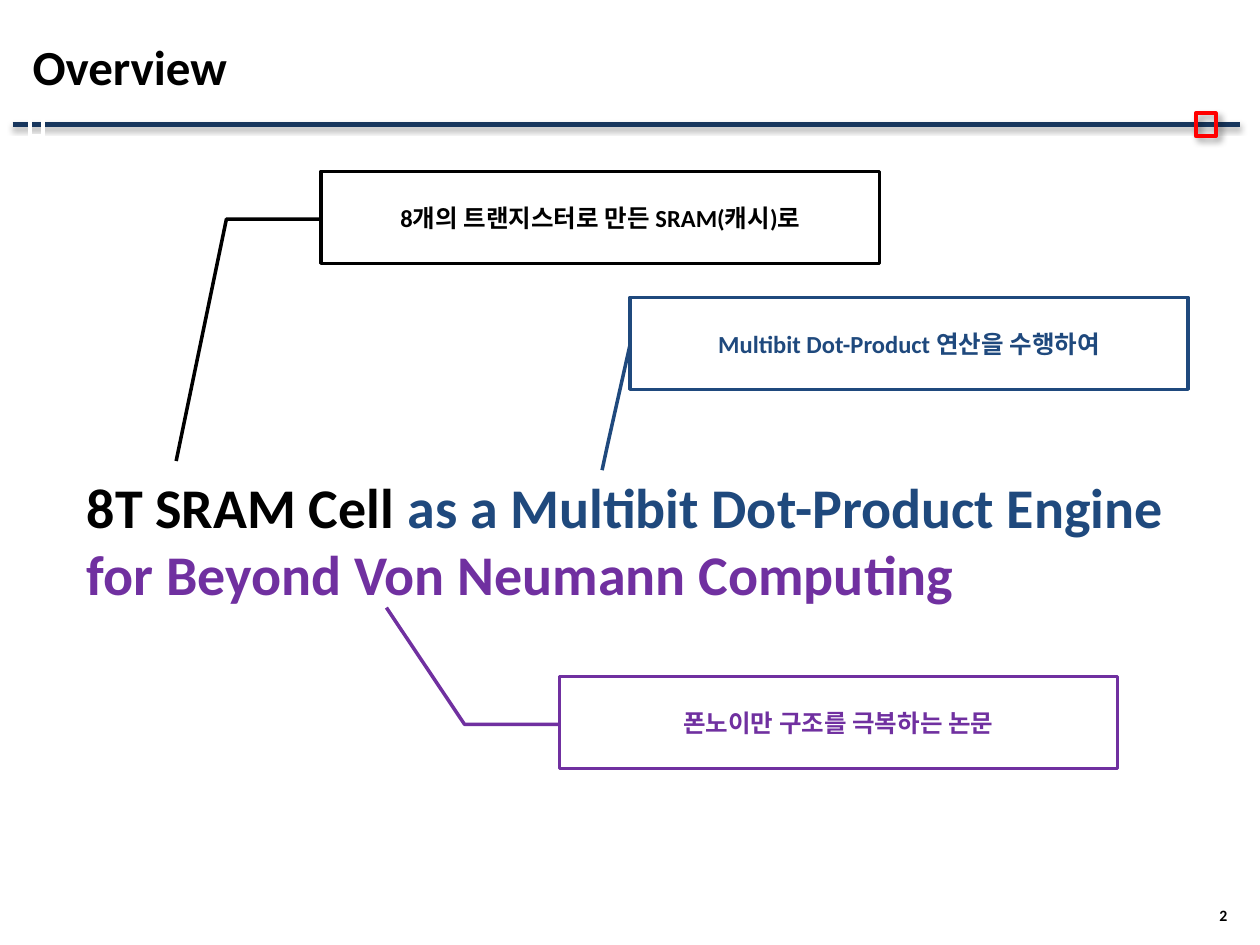
import pptx
import pptx.util
import pptx.dml.color
import pptx.enum.shapes
import pptx.enum.text
import pptx.oxml
import pptx.oxml.ns

RGB = pptx.dml.color.RGBColor
Pt = pptx.util.Pt
KIND = pptx.enum.shapes.MSO_SHAPE
ALIGN = pptx.enum.text.PP_ALIGN
BLACK = RGB(0x00, 0x00, 0x00)
WHITE = RGB(0xFF, 0xFF, 0xFF)
RED = RGB(0xFF, 0x00, 0x00)
NAVY = RGB(0x17, 0x36, 0x5D)
BLUE = RGB(0x1F, 0x49, 0x7D)
PURPLE = RGB(0x70, 0x30, 0xA0)
COLS, ROWS = 100, 75
CELL = pptx.util.Inches(0.1)
BEND = (0.52, 0, 0.52, -0.17)


def grid(*cells):
    return [round(cell * CELL) for cell in cells]


def style(item, **form):
    for name, value in form.items():
        setattr(item, name, value)


def stroke(shape, color, width):
    shape.line.color.rgb = color
    shape.line.width = Pt(width)


def shade(shape, alpha, blur, dist, angle):
    props = shape.element.spPr
    for old in props.findall(pptx.oxml.ns.qn("a:effectLst")):
        props.remove(old)
    props.append(pptx.oxml.parse_xml(
        f'<a:effectLst {pptx.oxml.ns.nsdecls("a")}>'
        f'<a:outerShdw blurRad="{Pt(blur)}" dist="{Pt(dist)}" '
        f'dir="{angle * 60000}" rotWithShape="0"><a:srgbClr val="{BLACK}">'
        f'<a:alpha val="{alpha * 1000}"/></a:srgbClr>'
        '</a:outerShdw></a:effectLst>'))


def write(shape, lines, size, align=ALIGN.LEFT):
    frame = shape.text_frame
    style(frame, word_wrap=True,
          vertical_anchor=pptx.enum.text.MSO_ANCHOR.MIDDLE)
    para = frame.paragraphs[0]
    para.alignment = align
    for row, line in enumerate(lines):
        if row:
            para.add_line_break()
        for text, color in line:
            run = para.add_run()
            run.text = text
            style(run.font, name="Calibri", size=Pt(size), bold=True)
            run.font.color.rgb = color


def label(slide, area, lines, size, align=ALIGN.LEFT):
    write(slide.shapes.add_textbox(*grid(*area)), lines, size, align)


def frame(slide, kind, area, color, width):
    shape = slide.shapes.add_shape(kind, *grid(*area))
    shape.shadow.inherit = False
    shape.fill.background()
    stroke(shape, color, width)
    return shape


def rule(slide, left, right, top):
    line = slide.shapes.add_connector(
        pptx.enum.shapes.MSO_CONNECTOR.STRAIGHT, *grid(left, top, right, top))
    stroke(line, NAVY, 3)
    shade(line, 35, 3.1, 1.8, 90)


def note(slide, left, top, text, color, points):
    shape = frame(slide, KIND.LINE_CALLOUT_2, (left, top, 44.3, 7.3), color, 2)
    for spot, value in enumerate(points):
        shape.adjustments[spot] = value
    write(shape, [[(text, color)]], 14, ALIGN.CENTER)


def main():
    deck = pptx.Presentation()
    wide, high = grid(COLS, ROWS)
    style(deck, slide_width=wide, slide_height=high)
    slide = deck.slides.add_slide(deck.slide_layouts[6])

    rule(slide, 1, 98.4, 9.9)
    frame(slide, KIND.RECTANGLE, (2.4, 9.2, 1, 1.6), WHITE, 2.25)
    mark = frame(slide, KIND.RECTANGLE, (94.9, 9, 1.6, 1.8), RED, 2.25)
    shade(mark, 40, 4, 3, 45)

    label(slide, (91.7, 71.4, 6.7, 2.4), [[("2", BLACK)]], 9, ALIGN.RIGHT)
    label(slide, (1.6, 0.5, 96.9, 9.5), [[("Overview", BLACK)]], 28)
    label(slide, (5.9, 33.4, 89, 18.9), [
        [("8T SRAM Cell ", BLACK),
         ("as a Multibit Dot-Product Engine", BLUE)],
        [("for Beyond Von Neumann Computing", PURPLE)]], 32)

    note(slide, 25.5, 13.6, "8개의 트랜지스터로 만든 SRAM(캐시)로",
         BLACK, (*BEND, 3.15, -0.26))
    note(slide, 50, 23.6, "Multibit Dot-Product 연산을 수행하여",
         BLUE, (0.52, 0, 1.6, -0.04, 1.88, -0.05))
    note(slide, 44.4, 53.7, "폰노이만 구조를 극복하는 논문",
         PURPLE, (*BEND, -0.75, -0.31))
    deck.save("out.pptx")


if __name__ == "__main__":
    main()
